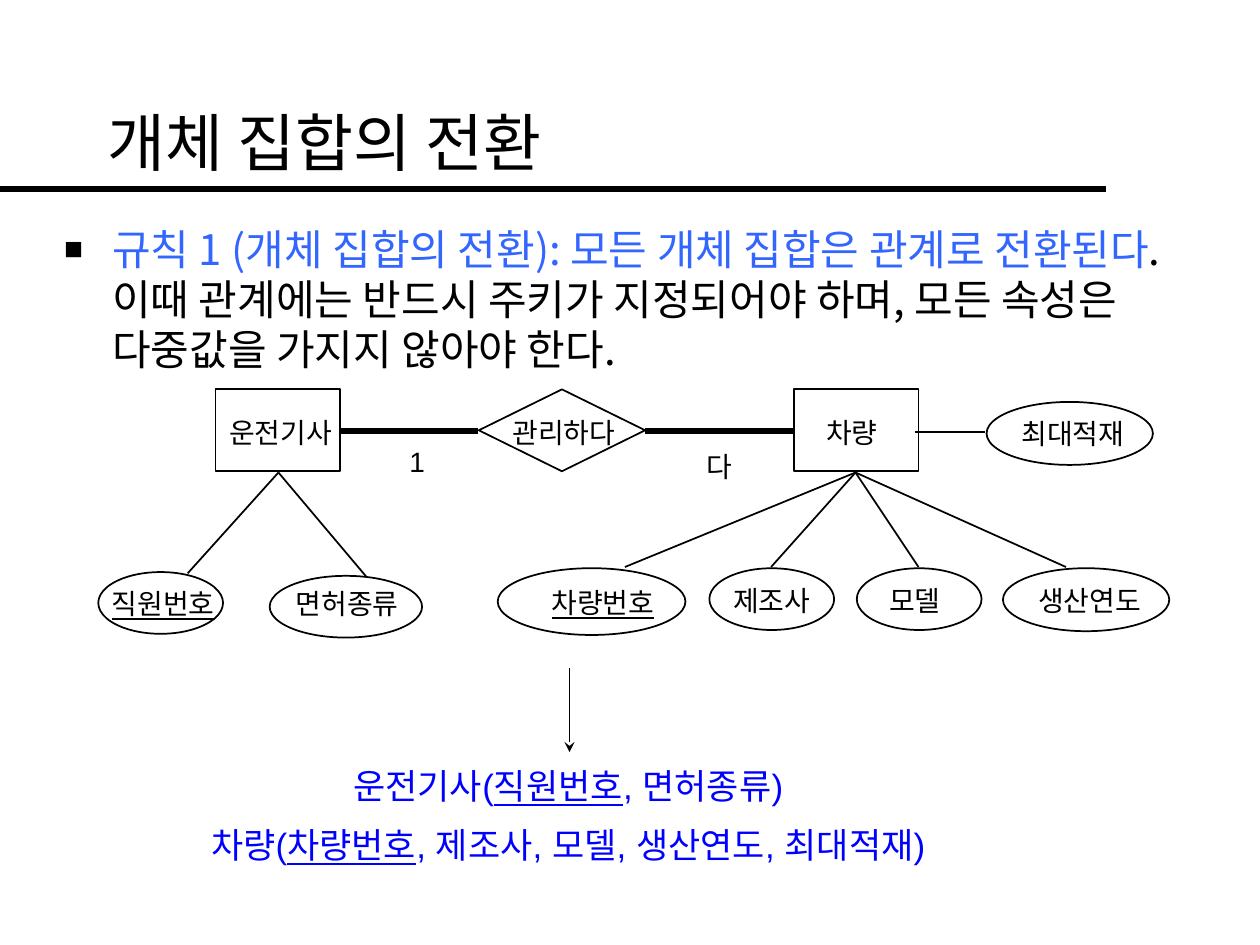
from lxml import etree
from pptx import Presentation
from pptx import util as u
from pptx.dml.color import RGBColor
from pptx.enum import shapes, text
from pptx.oxml import ns

BLACK, WHITE, BLUE, SKY = "000000", "FFFFFF", "0000FF", "3366FF"
In = u.Inches


def add_run(p, content, color, **fmt):
    r = p.add_run()
    r.text = content
    for name, value in fmt.items():
        setattr(r.font, name, value)
    r.font.color.rgb = RGBColor.from_string(color)
    ea = etree.SubElement(r.font._element, ns.qn("a:ea"))
    ea.set("typeface", "Noto Sans CJK KR")


def add_line(x1, y1, x2, y2, width=1):
    c = s.shapes.add_connector(shapes.MSO_CONNECTOR.STRAIGHT,
                               In(x1), In(y1), In(x2), In(y2))
    c.line.width = u.Pt(width)
    c.line.color.rgb = RGBColor.from_string(BLACK)
    etree.SubElement(c._element.spPr, ns.qn("a:effectLst"))
    return c


prs = Presentation()
prs.slide_width, prs.slide_height = In(10), In(7.5)
s = prs.slides.add_slide(prs.slide_layouts[1])
title, body = s.placeholders

# Title with its rule
add_line(0, 1.5, 8.78, 1.5, 4)
for sp, box in ((title, (0.75, 0.5, 8.5, 1.25)), (body, (0.41, 1.72, 9.25, 5))):
    sp.left, sp.top, sp.width, sp.height = map(In, box)
    sp.text_frame.auto_size = text.MSO_AUTO_SIZE.NONE
title.text_frame.vertical_anchor = text.MSO_ANCHOR.MIDDLE
p = title.text_frame.paragraphs[0]
p.alignment = text.PP_ALIGN.LEFT
add_run(p, "개체 집합의 전환", BLACK, size=u.Pt(36), name="Noto Sans CJK KR")

# Rule as a square-bulleted list item
p = body.text_frame.paragraphs[0]
p.space_before = u.Pt(0)
pPr = p._p.get_or_add_pPr()
pPr.set("marL", str(In(0.38)))
pPr.set("indent", str(In(-0.38)))
bullet_color = etree.SubElement(pPr, ns.qn("a:buClr"))
etree.SubElement(bullet_color, ns.qn("a:srgbClr"), val=BLACK)
etree.SubElement(pPr, ns.qn("a:buSzPct"), val="75000")
etree.SubElement(pPr, ns.qn("a:buChar"), char="■")
for content, color in (
        ("규칙 1 (개체 집합의 전환): 모든 개체 집합은 관계로 전환된다", SKY),
        (". 이때 관계에는 반드시 주키가 지정되어야 하며, "
         "모든 속성은 다중값을 가지지 않아야 한다.", BLACK)):
    add_run(p, content, color, size=u.Pt(24), name="Noto Sans CJK KR")

# Links from each entity to its attributes, and the relationship links
for x, ends in ((2.21, ((1.49, 4.55), (2.91, 4.58))),
                (6.79, ((4.96, 4.5), (6.12, 4.5), (7.29, 4.5), (8.46, 4.5)))):
    for end in ends:
        add_line(x, 3.75, *end)
add_line(2.71, 3.42, 3.79, 3.42, 3)
add_line(5.12, 3.42, 6.29, 3.42, 3)

# Entities, relationship and attributes
RECT, DIAMOND, OVAL = (shapes.MSO_SHAPE.RECTANGLE, shapes.MSO_SHAPE.DIAMOND,
                       shapes.MSO_SHAPE.OVAL)
nodes = [
    (RECT, 1.71, 3.09, 0.99, 0.65),
    (DIAMOND, 3.8, 3.09, 1.32, 0.65),
    (RECT, 6.3, 3.09, 0.99, 0.65),
    (OVAL, 7.83, 3.19, 1.32, 0.5),
    (OVAL, 0.78, 4.54, 0.99, 0.49),
    (OVAL, 2.14, 4.57, 1.21, 0.49),
    (OVAL, 3.95, 4.51, 1.49, 0.53),
    (OVAL, 5.63, 4.51, 0.99, 0.49),
    (OVAL, 6.8, 4.51, 0.99, 0.49),
    (OVAL, 7.96, 4.51, 1.32, 0.5),
]
for kind, *box in nodes:
    sp = s.shapes.add_shape(kind, *map(In, box))
    sp.shadow.inherit = False
    sp.fill.solid()
    sp.fill.fore_color.rgb = RGBColor.from_string(WHITE)
    sp.line.color.rgb = RGBColor.from_string(BLACK)
    sp.line.width = u.Pt(1)
add_line(7.26, 3.43, 7.82, 3.43)

# Node names and cardinalities; key attributes are underlined
keys = ("직원번호", "차량번호")
labels = [
    ("운전기사", 1.72, 3.25), ("관리하다", 3.97, 3.25), ("차량", 6.46, 3.25),
    ("최대적재", 8.01, 3.26), ("직원번호", 0.79, 4.61), ("면허종류", 2.25, 4.61),
    ("차량번호", 4.28, 4.6), ("제조사", 5.72, 4.58), ("모델", 6.96, 4.58),
    ("생산연도", 8.14, 4.58), ("1", 3.15, 3.48), ("다", 5.51, 3.52),
]
for label, x, y in labels:
    width = 0.33 if label == "1" else 0.2 + 0.205 * len(label)
    tf = s.shapes.add_textbox(In(x), In(y), In(width), In(0.37)).text_frame
    tf.word_wrap = False
    add_run(tf.paragraphs[0], label, BLACK, size=u.Pt(16), name="Arial",
            underline=label in keys)

# Arrow down to the resulting relations
arrow = add_line(4.52, 5.3, 4.52, 5.97)
etree.SubElement(arrow.line._get_or_add_ln(), ns.qn("a:tailEnd"), type="stealth")

tf = s.shapes.add_textbox(In(1.21), In(6.02), In(6.6), In(0.9)).text_frame
tf.word_wrap = False
relations = [("운전기사(", "직원번호", ", 면허종류)"),
             ("차량(", "차량번호", ", 제조사, 모델, 생산연도, 최대적재)")]
for i, parts in enumerate(relations):
    p = tf.add_paragraph() if i else tf.paragraphs[0]
    p.alignment = text.PP_ALIGN.CENTER
    p.space_before = u.Pt(9.6 if i else 0)
    for part in parts:
        add_run(p, part, BLUE, size=u.Pt(20), name="Arial", underline=part in keys)

prs.save("out.pptx")
